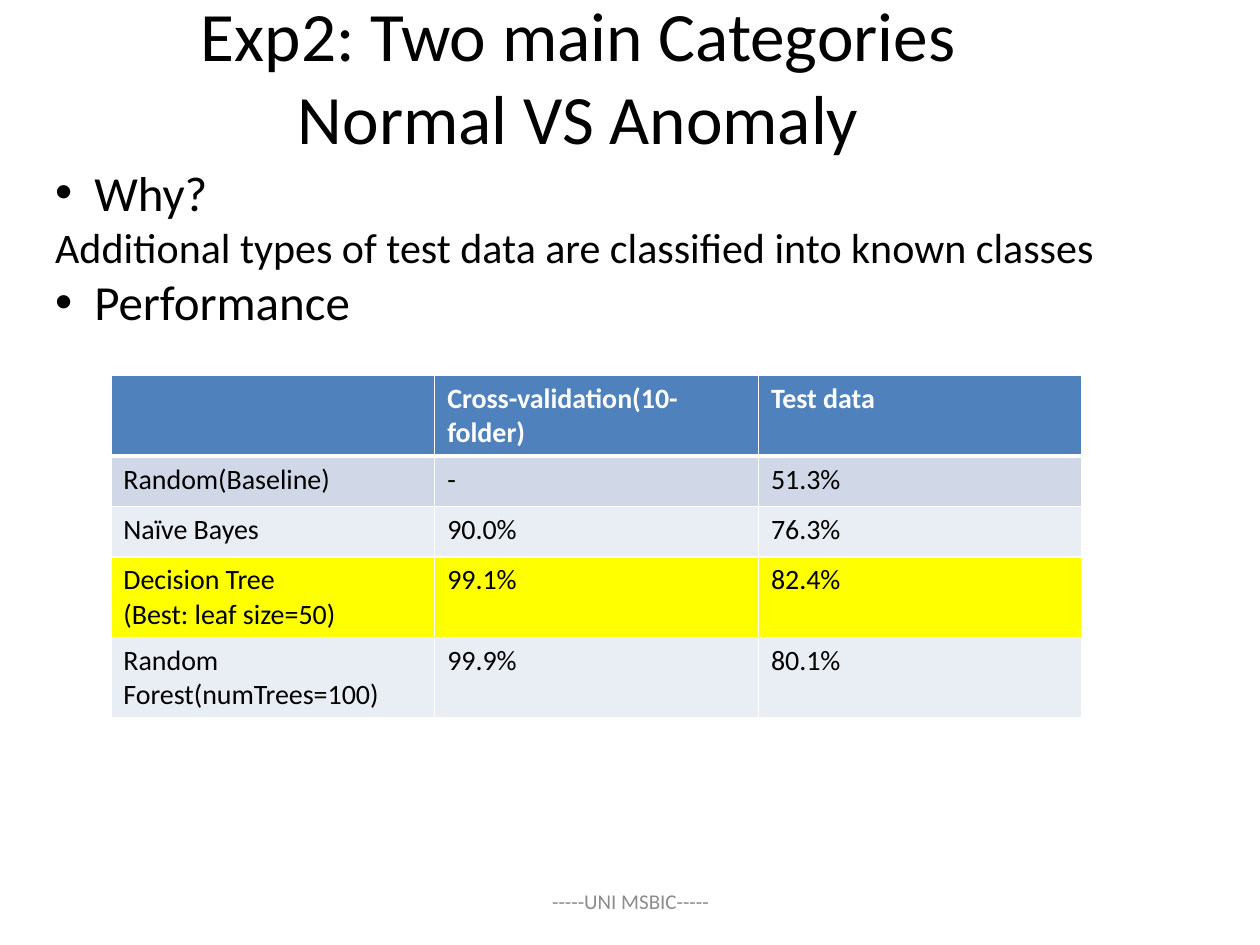
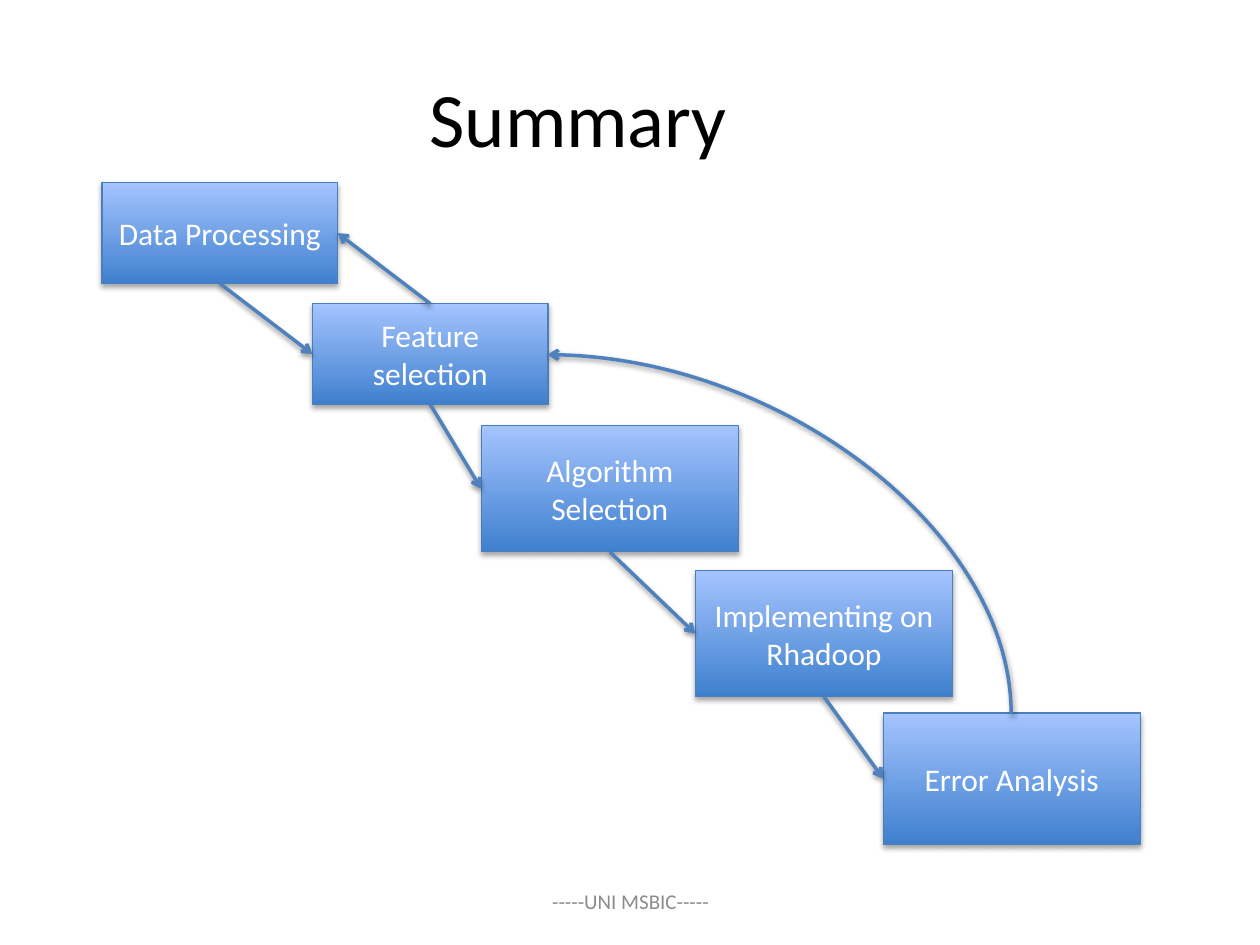
from lxml import etree
from pptx import Presentation
from pptx.dml.color import RGBColor
from pptx.enum.shapes import MSO_CONNECTOR, MSO_SHAPE
from pptx.enum.text import MSO_ANCHOR, PP_ALIGN
from pptx.oxml import parse_xml
from pptx.oxml.ns import nsdecls, qn
from pptx.util import Inches, Pt

STRAIGHT, CURVE = MSO_CONNECTOR.STRAIGHT, MSO_CONNECTOR.CURVE
RECTANGLE = MSO_SHAPE.RECTANGLE
MIDDLE = MSO_ANCHOR.MIDDLE
LEFT, CENTER = PP_ALIGN.LEFT, PP_ALIGN.CENTER
TOP_SITE, LEFT_SITE, BOTTOM_SITE, RIGHT_SITE = range(4)
FONT = "Calibri"
COLORS = {
    "text": "000000",
    "white": "FFFFFF",
    "footer": "8C8C8C",
    "accent": "4F81BD",
    "band_dark": "D0D8E8",
    "band_light": "E9EDF4",
    "best": "FFFF00",
    "box_bottom": "3F80CE",
    "box_top": "A4C4FF",
    "box_line": "4B7EBC",
}
RGB = {name: RGBColor.from_string(value) for name, value in COLORS.items()}


def add_run(paragraph, text, size, color="text", align=LEFT, bold=False):
    paragraph.alignment = align
    run = paragraph.add_run()
    run.text = text
    run.font.name = FONT
    run.font.size = Pt(size)
    run.font.bold = bold
    run.font.color.rgb = RGB[color]


def add_shadow(shape, opacity, distance):
    shape._element.spPr.append(parse_xml(
        f'<a:effectLst {nsdecls("a")}><a:outerShdw blurRad="{Pt(3.1)}" '
        f'dist="{Pt(distance)}" dir="5400000" rotWithShape="0">'
        f'<a:srgbClr val="{COLORS["text"]}"><a:alpha val="{opacity * 1000}"/>'
        '</a:srgbClr></a:outerShdw></a:effectLst>'))


prs = Presentation()
prs.slide_width, prs.slide_height = Inches(10), Inches(7.5)
blank = prs.slide_layouts[6]

slides = []
for title_lines, title_size, bottom_inset in [
    (["Exp2: Two main Categories", "Normal VS Anomaly"], 39.6, 0.71),
    (["Summary"], 44, 0.05),
]:
    slide = prs.slides.add_slide(blank)
    slides.append(slide)
    title = slide.shapes.add_textbox(Inches(0.34), Inches(0.12), Inches(8.5), Inches(1.61)).text_frame
    title.margin_bottom = Inches(bottom_inset)
    footer = slide.shapes.add_textbox(Inches(3.42), Inches(6.95), Inches(3.17), Inches(0.4)).text_frame
    for frame in (title, footer):
        frame.word_wrap = True
        frame.vertical_anchor = MIDDLE
    for i, line in enumerate(title_lines):
        if i:
            title.paragraphs[0].add_line_break()
        add_run(title.paragraphs[0], line, title_size, align=CENTER)
    add_run(footer.paragraphs[0], "-----UNI MSBIC-----", 12, "footer", CENTER)

experiment, summary = slides

points = experiment.shapes.add_textbox(Inches(0.34), Inches(1.24), Inches(9.07), Inches(1.45)).text_frame
points.word_wrap = True
for i, (text, size, bulleted) in enumerate([
    ("Why?", 28, True),
    ("Additional types of test data are classified into known classes", 24, False),
    ("Performance", 28, True),
]):
    paragraph = points.add_paragraph() if i else points.paragraphs[0]
    add_run(paragraph, text, size)
    if bulleted:
        properties = paragraph._p.get_or_add_pPr()
        properties.set("marL", str(Inches(0.31)))
        properties.set("indent", str(-Inches(0.31)))
        etree.SubElement(properties, qn("a:buFont")).set("typeface", "Arial")
        etree.SubElement(properties, qn("a:buChar")).set("char", "•")

results = [
    ("accent", 0.64, ["", "Cross-validation(10-folder)", "Test data"]),
    ("band_dark", 0.4, ["Random(Baseline)", "-", "51.3%"]),
    ("band_light", 0.4, ["Naïve Bayes", "90.0%", "76.3%"]),
    ("best", 0.64, ["Decision Tree\n(Best: leaf size=50)", "99.1%", "82.4%"]),
    ("band_light", 0.64, ["Random Forest(numTrees=100)", "99.9%", "80.1%"]),
]
performance = experiment.shapes.add_table(
    len(results), 3, Inches(0.88), Inches(2.98), Inches(7.71), Inches(2.72)).table
for column in performance.columns:
    column.width = Inches(2.57)
for r, (fill, height, values) in enumerate(results):
    performance.rows[r].height = Inches(height)
    header = r == 0
    for c, value in enumerate(values):
        cell = performance.cell(r, c)
        for i, line in enumerate(value.split("\n") if value else []):
            paragraph = cell.text_frame.add_paragraph() if i else cell.text_frame.paragraphs[0]
            add_run(paragraph, line, 16, "white" if header else "text", bold=header)
        cell_properties = cell._tc.get_or_add_tcPr()
        for side in ("L", "R", "T", "B"):
            thick = (header and side == "B") or (r == 1 and side == "T")
            cell_properties.append(parse_xml(
                f'<a:ln{side} {nsdecls("a")} w="{Pt(3 if thick else 1)}"><a:solidFill>'
                f'<a:srgbClr val="{COLORS["white"]}"/></a:solidFill></a:ln{side}>'))
        cell.fill.solid()
        cell.fill.fore_color.rgb = RGB[fill]

steps = {}
for step, left, top, width, height in [
    ("Data Processing", 0.81, 1.45, 1.87, 0.8),
    ("Feature selection", 2.48, 2.41, 1.87, 0.8),
    ("Algorithm Selection", 3.82, 3.38, 2.04, 1),
    ("Error Analysis", 7.01, 5.66, 2.04, 1.04),
    ("Implementing on Rhadoop", 5.52, 4.53, 2.04, 1),
]:
    box = summary.shapes.add_shape(RECTANGLE, Inches(left), Inches(top), Inches(width), Inches(height))
    box.fill.gradient()
    box.fill.gradient_angle = 90
    for stop, color in zip(box.fill.gradient_stops, ("box_bottom", "box_top")):
        stop.color.rgb = RGB[color]
    box.line.color.rgb = RGB["box_line"]
    box.line.width = Pt(0.75)
    add_shadow(box, 35, 1.8)
    box.text_frame.word_wrap = True
    box.text_frame.vertical_anchor = MIDDLE
    add_run(box.text_frame.paragraphs[0], step, 18, "white", CENTER)
    steps[step] = box

for kind, source, source_site, target, target_site in [
    (STRAIGHT, "Data Processing", BOTTOM_SITE, "Feature selection", LEFT_SITE),
    (STRAIGHT, "Feature selection", BOTTOM_SITE, "Algorithm Selection", LEFT_SITE),
    (STRAIGHT, "Feature selection", TOP_SITE, "Data Processing", RIGHT_SITE),
    (STRAIGHT, "Algorithm Selection", BOTTOM_SITE, "Implementing on Rhadoop", LEFT_SITE),
    (STRAIGHT, "Implementing on Rhadoop", BOTTOM_SITE, "Error Analysis", LEFT_SITE),
    (CURVE, "Error Analysis", TOP_SITE, "Feature selection", RIGHT_SITE),
]:
    arrow = summary.shapes.add_connector(kind, 0, 0, 0, 0)
    arrow.begin_connect(steps[source], source_site)
    arrow.end_connect(steps[target], target_site)
    arrow.line.color.rgb = RGB["accent"]
    arrow.line.width = Pt(2)
    etree.SubElement(arrow.line._get_or_add_ln(), qn("a:tailEnd")).set("type", "arrow")
    add_shadow(arrow, 38, 1.6)
    if kind == CURVE:
        arrow.left, arrow.top = Inches(4.76), Inches(2.4)
        arrow.width, arrow.height = Inches(2.85), Inches(3.68)
        arrow._element.spPr.find(qn("a:prstGeom")).set("prst", "curvedConnector2")
        frame = arrow._element.spPr.find(qn("a:xfrm"))
        frame.attrib.pop("flipH", None)
        frame.set("rot", "16200000")
        frame.set("flipV", "1")

prs.save("out.pptx")
